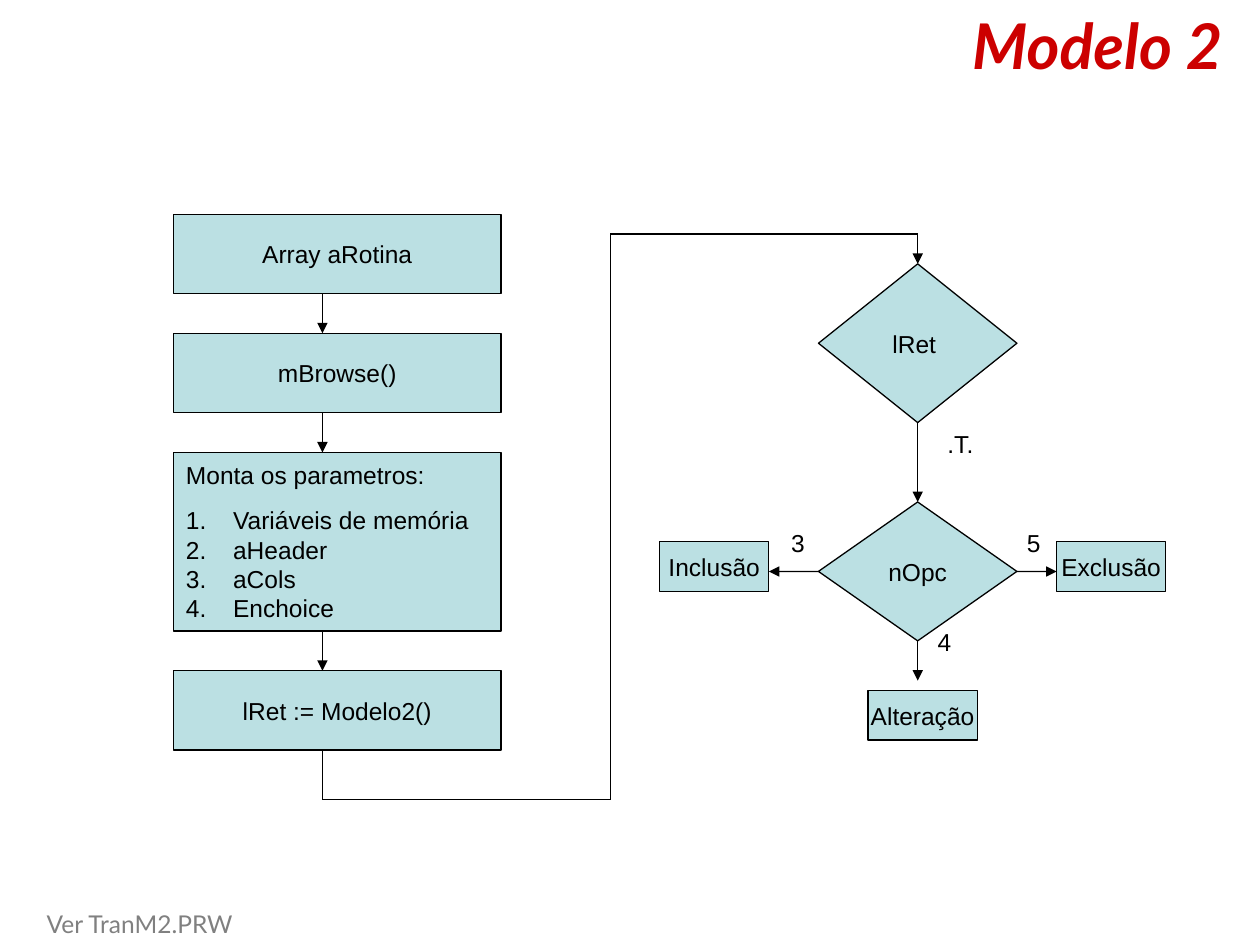
"""Builds the Modelo 2 flow chart slide."""
from dataclasses import dataclass
from typing import Optional

from lxml import etree
from pptx import Presentation, util as u
from pptx.dml.color import RGBColor
from pptx.enum import shapes, text
from pptx.oxml import ns

Cm, Pt = u.Cm, u.Pt
BLACK = RGBColor(0x00, 0x00, 0x00)
TEAL = RGBColor(0xBB, 0xE0, 0xE3)
RED = RGBColor(0xCC, 0x00, 0x00)
GREY = RGBColor(0x80, 0x80, 0x80)
RECT = shapes.MSO_SHAPE.RECTANGLE
DIAMOND = shapes.MSO_SHAPE.FLOWCHART_DECISION
ALIGN = text.PP_ALIGN
ANCHOR = text.MSO_ANCHOR
FIT = text.MSO_AUTO_SIZE.SHAPE_TO_FIT_TEXT
TOP, LEFT, BOTTOM, RIGHT = range(4)

COL, WIDE, STEP, GAP = 3.5, 6.6, 1.6, 0.8
FLOW_X, TURN_X, TEST_X = 6.5, 12.3, 18.5
FIRST, TURN_TOP, TURN_LOW = 4.32, 4.72, 16.12
TEST_W, MID = 4, 11.52


@dataclass
class Node:
    label: str
    x: float
    y: float
    w: float
    h: float
    kind: int = RECT


@dataclass
class Tag:
    label: str
    x: float
    y: float
    w: float = 0.79


@dataclass
class Link:
    x1: float
    y1: float
    x2: float
    y2: float
    arrow: bool = True
    start: Optional[tuple] = None
    end: Optional[tuple] = None


def write(para, words: str, size: float = 14, font: str = "Arial",
          color: RGBColor = BLACK):
    run = para.add_run()
    run.text = words
    run.font.size, run.font.name = Pt(size), font
    run.font.color.rgb = color
    return run


def draw_node(slide, node: Node):
    box = slide.shapes.add_shape(
        node.kind, Cm(node.x), Cm(node.y), Cm(node.w), Cm(node.h))
    box.shadow.inherit = False
    box.fill.solid()
    box.fill.fore_color.rgb = TEAL
    box.line.color.rgb = BLACK
    box.line.width = Pt(0.75)
    frame = box.text_frame
    frame.word_wrap = False
    frame.vertical_anchor = ANCHOR.MIDDLE
    para = frame.paragraphs[0]
    para.alignment = ALIGN.CENTER
    if node.label:
        write(para, node.label)
    return box


def draw_list(box, head: str, items: list) -> None:
    frame = box.text_frame
    frame.word_wrap = True
    para = frame.paragraphs[0]
    para.alignment = ALIGN.LEFT
    para.space_after = Pt(8.8)
    write(para, head)
    for item in items:
        para = frame.add_paragraph()
        para.alignment = ALIGN.LEFT
        props = para._p.get_or_add_pPr()
        props.set("marL", str(Cm(0.95)))
        props.set("indent", str(-Cm(0.95)))
        etree.SubElement(props, ns.qn("a:buAutoNum"), type="arabicPeriod")
        write(para, item)


def draw_tag(slide, tag: Tag) -> None:
    box = slide.shapes.add_textbox(Cm(tag.x), Cm(tag.y), Cm(tag.w), Cm(0.86))
    box.text_frame.word_wrap = False
    box.text_frame.auto_size = FIT
    write(box.text_frame.paragraphs[0], tag.label)


def draw_link(slide, link: Link) -> None:
    line = slide.shapes.add_connector(
        shapes.MSO_CONNECTOR.STRAIGHT,
        Cm(link.x1), Cm(link.y1), Cm(link.x2), Cm(link.y2))
    if link.start:
        line.begin_connect(*link.start)
    if link.end:
        line.end_connect(*link.end)
    line.line.color.rgb = BLACK
    line.line.width = Pt(0.75)
    props = line.element.spPr
    if link.arrow:
        etree.SubElement(props.find(ns.qn("a:ln")), ns.qn("a:tailEnd"),
                         type="triangle")
    etree.SubElement(props, ns.qn("a:effectLst"))


def draw_title(slide) -> None:
    title = slide.shapes.title
    title.left, title.top = Cm(0.5), Cm(0)
    title.width, title.height = Cm(24.4), Cm(1.78)
    frame = title.text_frame
    frame.word_wrap = True
    frame.auto_size = FIT
    frame.vertical_anchor = ANCHOR.TOP
    para = frame.paragraphs[0]
    para.alignment = ALIGN.RIGHT
    run = write(para, "Modelo 2", 36, "Lato", RED)
    run.font.bold = run.font.italic = True


def draw_foot(slide) -> None:
    box = slide.shapes.add_textbox(Cm(0.69), Cm(18.21), Cm(12.7), Cm(0.86))
    box.text_frame.word_wrap = True
    box.text_frame.auto_size = FIT
    write(box.text_frame.paragraphs[0], "Ver TranM2.PRW", 14, "Lato", GREY)


def draw_steps(slide) -> None:
    y = FIRST
    steps = [("Array aRotina", STEP), ("mBrowse()", STEP),
             ("", 3.6), ("lRet := Modelo2()", STEP)]
    for label, tall in steps:
        if y > FIRST:
            draw_link(slide, Link(FLOW_X, y - GAP, FLOW_X, y))
        box = draw_node(slide, Node(label, COL, y, WIDE, tall))
        if not label:
            draw_list(box, "Monta os parametros:",
                      ["Variáveis de memória", "aHeader", "aCols", "Enchoice"])
        y += tall + GAP
    route = [(FLOW_X, y - GAP), (FLOW_X, TURN_LOW), (TURN_X, TURN_LOW),
             (TURN_X, TURN_TOP), (TEST_X, TURN_TOP)]
    for (x1, y1), (x2, y2) in zip(route, route[1:]):
        draw_link(slide, Link(x1, y1, x2, y2, arrow=False))


def draw_tests(slide) -> None:
    left, right = TEST_X - TEST_W / 2, TEST_X + TEST_W / 2
    ret = draw_node(slide, Node("lRet ", left, 5.32, TEST_W, 3.2, DIAMOND))
    opt = draw_node(slide, Node("nOpc", left, 10.12, TEST_W, 2.8, DIAMOND))
    for label, x, y in [("Inclusão", 13.3, 10.92), ("Exclusão", 21.3, 10.92),
                        ("Alteração", 17.5, 13.92)]:
        draw_node(slide, Node(label, x, y, 2.2, 1))
    for link in [
        Link(TEST_X, TURN_TOP, TEST_X, 5.32, end=(ret, TOP)),
        Link(TEST_X, 8.52, TEST_X, 10.12, start=(ret, BOTTOM), end=(opt, TOP)),
        Link(left, MID, left - 1, MID, start=(opt, LEFT)),
        Link(right, MID, right + GAP, MID, start=(opt, RIGHT)),
        Link(TEST_X, 12.92, TEST_X, 13.72, start=(opt, BOTTOM)),
    ]:
        draw_link(slide, link)
    for tag in [Tag(".T.", 18.85, 8.52, 1.09), Tag("3", 15.7, 10.52),
                Tag("4", 18.65, 12.52), Tag("5", 20.45, 10.52)]:
        draw_tag(slide, tag)


def main() -> None:
    deck = Presentation()
    deck.slide_width, deck.slide_height = Cm(25.4), Cm(19.05)
    slide = deck.slides.add_slide(deck.slide_layouts[5])
    draw_title(slide)
    draw_steps(slide)
    draw_tests(slide)
    draw_foot(slide)
    deck.save("out.pptx")


if __name__ == "__main__":
    main()
